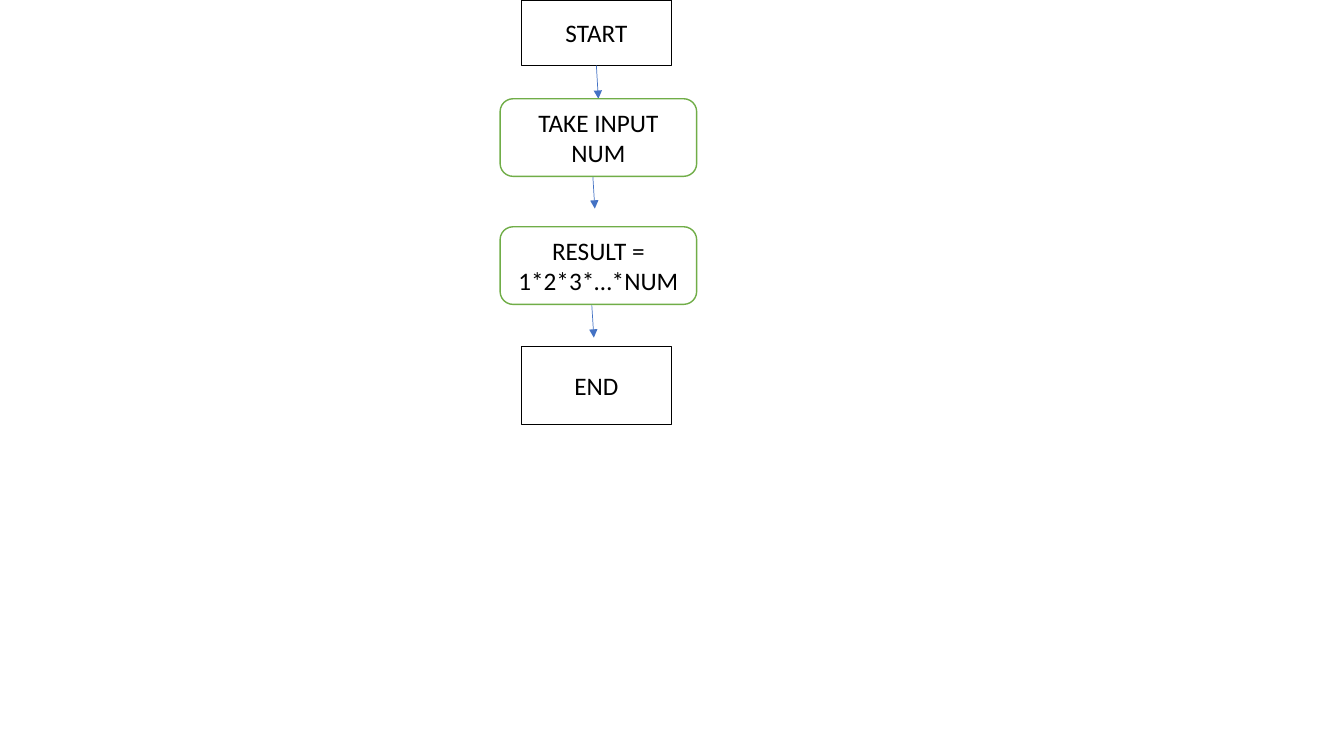
import pptx
import pptx.util
import pptx.dml.color
import pptx.enum.shapes
import pptx.enum.text
import pptx.oxml
import pptx.oxml.ns

Inches = pptx.util.Inches
KIND = pptx.enum.shapes.MSO_SHAPE
COLORS = {"paper": "FFFFFF", "ink": "000000", "step": "70AD47", "arrow": "4472C4"}


def color(name):
    return pptx.dml.color.RGBColor.from_string(COLORS[name])


def add_node(slide, kind, edge, text, left, top, width, height):
    node = slide.shapes.add_shape(
        kind, Inches(left), Inches(top), Inches(width), Inches(height))
    node.shadow.inherit = False
    node.fill.solid()
    node.fill.fore_color.rgb = color("paper")
    node.line.color.rgb = color(edge)
    node.line.width = pptx.util.Pt(1)
    frame = node.text_frame
    frame.word_wrap = True
    frame.vertical_anchor = pptx.enum.text.MSO_ANCHOR.MIDDLE
    para = frame.paragraphs[0]
    para.alignment = pptx.enum.text.PP_ALIGN.CENTER
    run = para.add_run()
    run.text = text
    run.font.name = "Calibri"
    run.font.size = pptx.util.Pt(18)
    run.font.color.rgb = color("ink")
    return node


def add_arrow(slide, left, top, width, height):
    arrow = slide.shapes.add_connector(
        pptx.enum.shapes.MSO_CONNECTOR.STRAIGHT,
        Inches(left), Inches(top), Inches(left + width), Inches(top + height))
    arrow.line.color.rgb = color("arrow")
    arrow.line.width = pptx.util.Pt(0.5)
    props = arrow.element.spPr
    tip = pptx.oxml.ns.qn("a:tailEnd")
    arrow.line._get_or_add_ln().append(
        pptx.oxml.parse_xml(
            f'<a:tailEnd {pptx.oxml.ns.nsdecls("a")} type="triangle"/>'))
    props.append(
        pptx.oxml.parse_xml(f'<a:effectLst {pptx.oxml.ns.nsdecls("a")}/>'))
    return arrow


def draw_flow(slide, left, top, width):
    inset = 0.21
    end_width = 1.49
    tall = 0.77
    start = add_node(slide, KIND.RECTANGLE, "ink", "START",
                     left + inset, top, end_width, 0.65)
    first = add_arrow(slide, left + 0.96, top + 0.65, 0.02, 0.33)
    for x, y in ((0.92, 1.75), (0.91, 3.03)):
        add_arrow(slide, left + x, top + y, 0.02, 0.32)
    steps = [
        add_node(slide, KIND.ROUNDED_RECTANGLE, "step", text,
                 left, top + 0.98 + 1.27 * row, width, tall)
        for row, text in enumerate(("TAKE INPUT NUM", "RESULT = 1*2*3*…*NUM"))]
    add_node(slide, KIND.RECTANGLE, "ink", "END",
             left + inset, top + 3.44, end_width, tall)
    first.begin_connect(start, 2)
    first.end_connect(steps[0], 0)


def main():
    deck = pptx.Presentation()
    deck.slide_width = Inches(13.33)
    deck.slide_height = Inches(7.5)
    slide = deck.slides.add_slide(deck.slide_layouts[6])
    draw_flow(slide, 4.96, 0, 1.95)
    deck.save("out.pptx")


if __name__ == "__main__":
    main()
